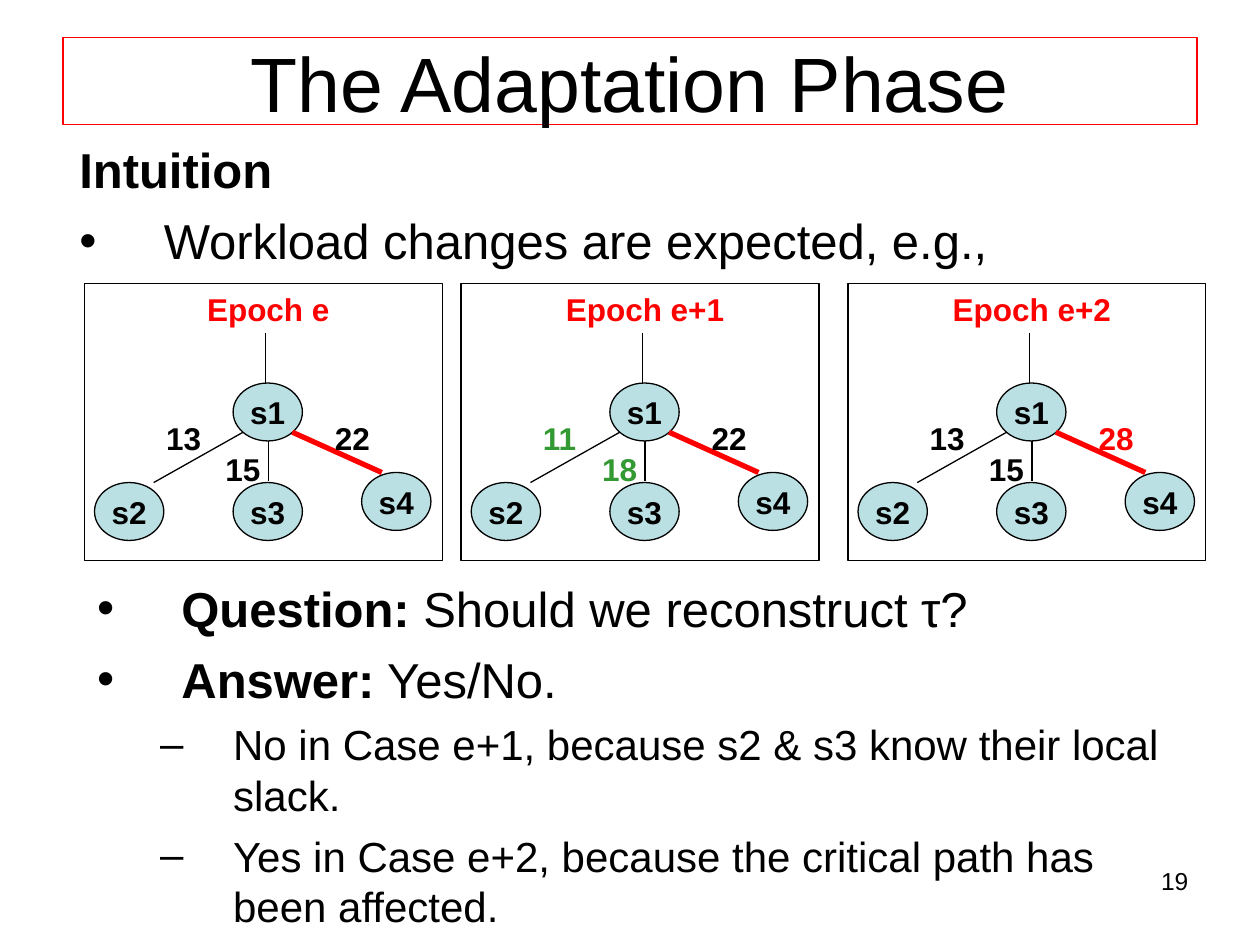
from pptx import Presentation
from pptx.dml.color import RGBColor
from pptx.enum.shapes import MSO_CONNECTOR, MSO_SHAPE
from pptx.enum.text import MSO_ANCHOR, MSO_AUTO_SIZE, PP_ALIGN
from pptx.oxml.ns import qn
from pptx.util import Inches, Pt

BLACK, RED, GREEN, NODE_FILL = "000000", "FF0000", "339933", "BBE0E3"

TITLE = "The Adaptation Phase"
PAGE_NUMBER = "19"
INTUITION = [
    ("heading", "Intuition", ""),
    ("bullet", "", "Workload changes are expected, e.g.,"),
]
DISCUSSION = [
    ("bullet", "Question:", " Should we reconstruct τ?"),
    ("bullet", "Answer:", " Yes/No."),
    ("dash", "", "No in Case e+1, because s2 & s3 know their local slack."),
    ("dash", "", "Yes in Case e+2, because the critical path has been affected."),
]
STYLES = {
    "heading": dict(level=0, size=28, left=0.67, hang=0.67, before=7),
    "bullet": dict(level=0, size=28, left=0.67, hang=0.67, before=7),
    "dash": dict(level=1, size=24, left=1.08, hang=0.58, before=6),
}
EPOCHS = [
    ("Epoch e", 0.67, [("13", BLACK), ("15", BLACK), ("22", BLACK)]),
    ("Epoch e+1", 3.66, [("11", GREEN), ("18", GREEN), ("22", BLACK)]),
    ("Epoch e+2", 6.73, [("13", BLACK), ("15", BLACK), ("28", RED)]),
]
PANEL_TOP, PANEL_WIDTH, PANEL_HEIGHT = 2.25, 2.84, 2.2
NODES = [("s1", 1.18, 0.79), ("s2", 0.08, 1.58), ("s3", 1.18, 1.58), ("s4", 2.2, 1.5)]
NODE_SIZE = (0.55, 0.46)
EDGES = [
    ((1.44, 0.39), (1.44, 0.79), BLACK, 0.75),
    ((1.26, 1.18), (0.55, 1.58), BLACK, 0.75),
    ((1.46, 1.25), (1.46, 1.57), BLACK, 1),
    ((1.65, 1.18), (2.36, 1.5), RED, 3),
]
COST_SPOTS = [(0.55, 1.03), (1.02, 1.27), (1.89, 1.03)]


def rgb(color):
    return RGBColor.from_string(color)


def place(shape, left, top, width, height):
    shape.left, shape.top = Inches(left), Inches(top)
    shape.width, shape.height = Inches(width), Inches(height)


def style_font(font, size, color=BLACK, bold=False):
    font.name, font.size, font.bold = "Arial", Pt(size), bold
    font.color.rgb = rgb(color)


def write(shape, text, size, color=BLACK, bold=False, align=PP_ALIGN.LEFT):
    paragraph = shape.text_frame.paragraphs[0]
    paragraph.text = text
    paragraph.alignment = align
    style_font(paragraph.runs[0].font, size, color, bold)


def add_label(shapes, text, box, size=18, color=BLACK, bold=True, align=PP_ALIGN.LEFT):
    label = shapes.add_textbox(*map(Inches, box))
    label.text_frame.word_wrap = True
    write(label, text, size, color, bold, align)


def add_outlined(shapes, kind, box, fill=None):
    shape = shapes.add_shape(kind, *map(Inches, box))
    shape.shadow.inherit = False
    if fill:
        shape.fill.solid()
        shape.fill.fore_color.rgb = rgb(fill)
    else:
        shape.fill.background()
    shape.line.color.rgb = rgb(BLACK)
    shape.line.width = Pt(0.75)
    return shape


def add_edge(shapes, start, end, color, width):
    edge = shapes.add_connector(MSO_CONNECTOR.STRAIGHT, *map(Inches, start + end))
    edge.line.color.rgb = rgb(color)
    edge.line.width = Pt(width)
    properties = edge._element.spPr
    properties.append(properties.makeelement(qn("a:effectLst"), {}))


def fill_list(body, items, box):
    place(body, *box)
    frame = body.text_frame
    frame.auto_size = MSO_AUTO_SIZE.NONE
    for index, (kind, lead, rest) in enumerate(items):
        style = STYLES[kind]
        paragraph = frame.add_paragraph() if index else frame.paragraphs[0]
        paragraph.level = style["level"]
        properties = paragraph._p.get_or_add_pPr()
        properties.set("marL", str(Inches(style["left"])))
        properties.set("indent", str(-Inches(style["hang"])))
        if kind == "heading":
            properties.append(properties.makeelement(qn("a:buNone"), {}))
        paragraph.space_before = Pt(style["before"] if index else 0)
        for text, bold in ((lead, True), (rest, False)):
            if text:
                run = paragraph.add_run()
                run.text = text
                style_font(run.font, style["size"], bold=bold)


def add_epoch(slide, name, left, costs):
    shapes = slide.shapes.add_group_shape().shapes

    def at(x, y):
        return left + x, PANEL_TOP + y

    add_outlined(shapes, MSO_SHAPE.RECTANGLE, at(0, 0) + (PANEL_WIDTH, PANEL_HEIGHT))
    for node_name, x, y in NODES:
        node = add_outlined(shapes, MSO_SHAPE.OVAL, at(x, y) + NODE_SIZE, NODE_FILL)
        node.text_frame.word_wrap = False
        node.text_frame.vertical_anchor = MSO_ANCHOR.MIDDLE
        write(node, node_name, 18, bold=True, align=PP_ALIGN.CENTER)
    for start, end, color, width in EDGES:
        add_edge(shapes, at(*start), at(*end), color, width)
    for (cost, color), spot in zip(costs, COST_SPOTS):
        add_label(shapes, cost, at(*spot) + (0.55, 0.4), color=color)
    add_label(shapes, name, at(0.16, 0) + (2.6, 0.4), color=RED, align=PP_ALIGN.CENTER)


def main():
    presentation = Presentation()
    presentation.slide_width, presentation.slide_height = Inches(10), Inches(7.5)
    slide = presentation.slides.add_slide(presentation.slide_layouts[3])
    title, intuition, discussion = slide.placeholders

    place(title, 0.5, 0.3, 9, 0.69)
    title.line.color.rgb = rgb(RED)
    title.line.width = Pt(0.75)
    title.text_frame.auto_size = MSO_AUTO_SIZE.NONE
    title.text_frame.vertical_anchor = MSO_ANCHOR.MIDDLE
    write(title, TITLE, 44, align=PP_ALIGN.CENTER)

    fill_list(intuition, INTUITION, (0.53, 1.06, 8.9, 1.19))
    fill_list(discussion, DISCUSSION, (0.67, 4.54, 8.82, 2.36))
    for name, left, costs in EPOCHS:
        add_epoch(slide, name, left, costs)
    add_label(slide.shapes, PAGE_NUMBER, (7.2, 6.82, 2.33, 0.52),
              size=14, bold=False, align=PP_ALIGN.RIGHT)
    presentation.save("out.pptx")


if __name__ == "__main__":
    main()
